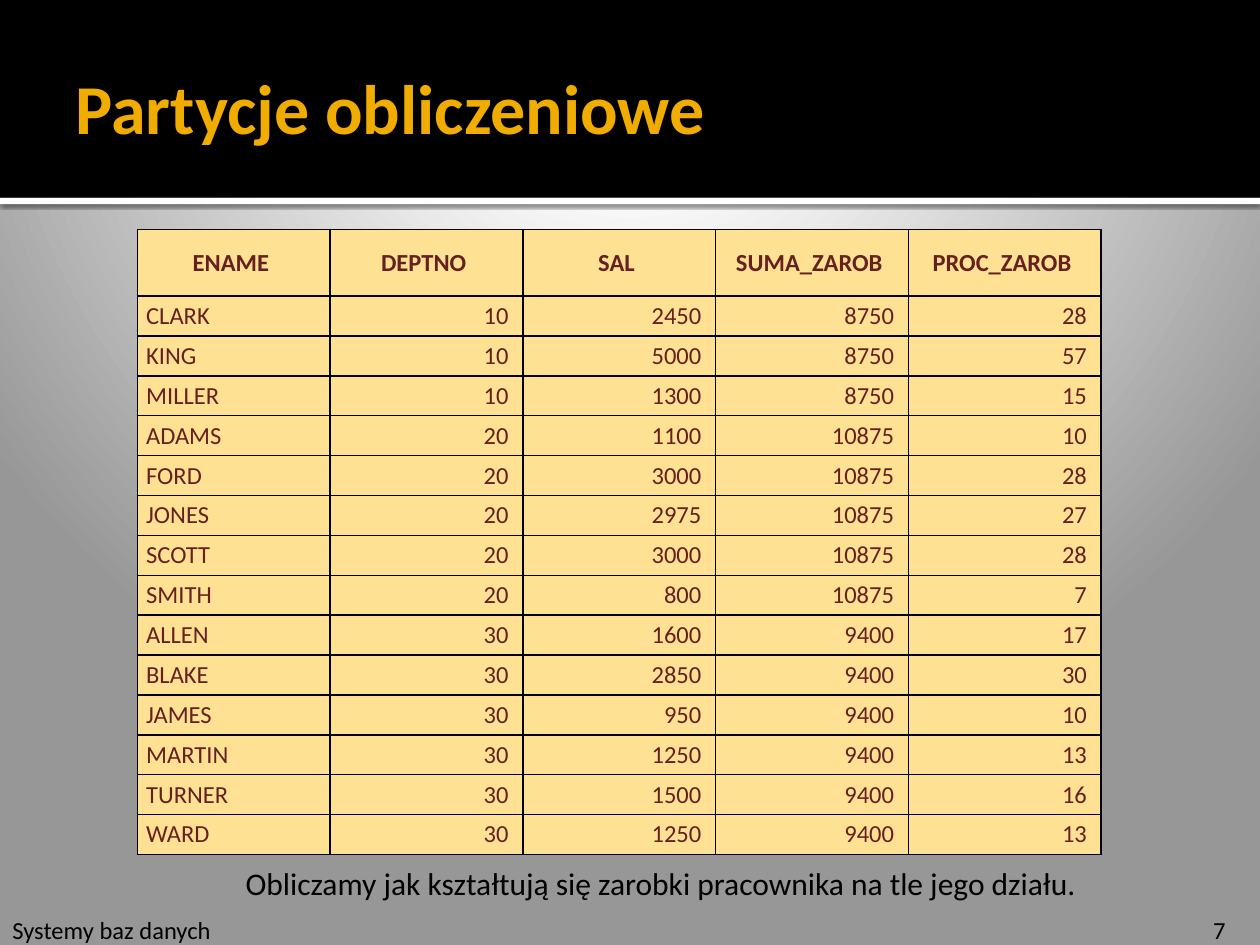
from dataclasses import dataclass

from lxml.etree import SubElement
from pptx import Presentation
from pptx.dml.color import RGBColor
from pptx.enum.shapes import MSO_SHAPE
from pptx.enum.text import MSO_ANCHOR, PP_ALIGN
from pptx.oxml import parse_xml
from pptx.oxml.ns import nsdecls, qn
from pptx.util import Inches, Pt

FONT = "Calibri"
BLACK, WHITE, GOLD = "000000", "FFFFFF", "F0AD00"
CELL_FILL, CELL_TEXT = "FFE193", "672020"
COL_WIDTH, HEADER_HEIGHT, ROW_HEIGHT = 1.53, 0.53, 0.31
BACKGROUND_STOPS = [(0, WHITE), (20, WHITE), (100, "979797")]

HEADERS = ["ENAME", "DEPTNO", "SAL", "SUMA_ZAROB", "PROC_ZAROB"]
EMPLOYEES = [
    ("CLARK", 10, 2450, 8750, 28),
    ("KING", 10, 5000, 8750, 57),
    ("MILLER", 10, 1300, 8750, 15),
    ("ADAMS", 20, 1100, 10875, 10),
    ("FORD", 20, 3000, 10875, 28),
    ("JONES", 20, 2975, 10875, 27),
    ("SCOTT", 20, 3000, 10875, 28),
    ("SMITH", 20, 800, 10875, 7),
    ("ALLEN", 30, 1600, 9400, 17),
    ("BLAKE", 30, 2850, 9400, 30),
    ("JAMES", 30, 950, 9400, 10),
    ("MARTIN", 30, 1250, 9400, 13),
    ("TURNER", 30, 1500, 9400, 16),
    ("WARD", 30, 1250, 9400, 13),
]


@dataclass
class Label:
    text: str
    left: float
    top: float
    width: float
    height: float
    size: int


LABELS = [
    Label("Systemy baz danych", 0, 7.21, 2.87, 0.34, 14),
    Label("7", 9.53, 7.21, 0.47, 0.34, 14),
    Label("Obliczamy jak kształtują się zarobki pracownika na tle jego działu.",
          1.85, 6.81, 6.91, 0.4, 18),
]


def rgb(color: str) -> RGBColor:
    return RGBColor.from_string(color)


def set_text(tf, text: str, size: int, color: str, bold: bool = False, align=None) -> None:
    tf.text = text
    p = tf.paragraphs[0]
    p.alignment = align
    font = p.runs[0].font
    font.name, font.size, font.bold = FONT, Pt(size), bold
    font.color.rgb = rgb(color)


def paint_background(slide) -> None:
    """Fill the background with a radial gradient centred above the top edge."""
    fill = slide.background.fill
    fill.gradient()
    stops = "".join(f'<a:gs pos="{pos * 1000}"><a:srgbClr val="{color}"/></a:gs>'
                    for pos, color in BACKGROUND_STOPS)
    gradient = parse_xml(
        f'<a:gradFill {nsdecls("a")} rotWithShape="1"><a:gsLst>{stops}</a:gsLst>'
        '<a:path path="circle"><a:fillToRect l="10000" t="-25000" r="10000" b="125000"/>'
        '</a:path></a:gradFill>')
    old = next(slide.element.iter(qn("a:gradFill")))
    old.getparent().replace(old, gradient)


def add_band(slide, top: float, height: float, color: str):
    sp = slide.shapes.add_shape(MSO_SHAPE.RECTANGLE, 0, Inches(top),
                                Inches(10), Inches(height))
    sp.shadow.inherit = False
    sp.fill.solid()
    sp.fill.fore_color.rgb = rgb(color)
    sp.line.fill.background()
    return sp


def add_drop_shadow(sp) -> None:
    effects = sp.element.spPr.find(qn("a:effectLst"))
    shadow = SubElement(effects, qn("a:outerShdw"), blurRad=str(Pt(2.5)),
                        dist=str(Pt(0.8)), dir="5400000", rotWithShape="0")
    color = SubElement(shadow, qn("a:srgbClr"), val=BLACK)
    SubElement(color, qn("a:alpha"), val="60000")


def add_label(slide, label: Label) -> None:
    box = slide.shapes.add_textbox(Inches(label.left), Inches(label.top),
                                   Inches(label.width), Inches(label.height))
    box.text_frame.word_wrap = True
    set_text(box.text_frame, label.text, label.size, BLACK)


def place_title(slide, text: str) -> None:
    title = slide.shapes.title
    title.left, title.top = Inches(0.5), Inches(0.46)
    title.width, title.height = Inches(9), Inches(0.77)
    tf = title.text_frame
    tf.vertical_anchor = MSO_ANCHOR.MIDDLE
    tf.margin_left = Inches(0.1)
    tf.margin_right = tf.margin_top = tf.margin_bottom = Inches(0.05)
    set_text(tf, text, 40, GOLD, bold=True, align=PP_ALIGN.LEFT)
    title.element.getparent().append(title.element)  # in front of the black band


def add_borders(cell) -> None:
    tc_pr = cell._tc.get_or_add_tcPr()
    for i, side in enumerate(("lnL", "lnR", "lnT", "lnB")):
        line = parse_xml(
            f'<a:{side} {nsdecls("a")} w="{Pt(1)}"><a:solidFill>'
            f'<a:srgbClr val="{BLACK}"/></a:solidFill></a:{side}>')
        tc_pr.insert(i, line)


def format_cell(cell, text: str, bold: bool, align) -> None:
    cell.margin_left = cell.margin_right = Inches(0.07)
    cell.margin_top = cell.margin_bottom = Inches(0.04)
    cell.vertical_anchor = MSO_ANCHOR.MIDDLE
    cell.fill.solid()
    cell.fill.fore_color.rgb = rgb(CELL_FILL)
    set_text(cell.text_frame, text, 14, CELL_TEXT, bold, align)
    add_borders(cell)


def add_salary_table(slide) -> None:
    rows = [HEADERS, *EMPLOYEES]
    height = HEADER_HEIGHT + ROW_HEIGHT * len(EMPLOYEES)
    table = slide.shapes.add_table(
        len(rows), len(HEADERS), Inches(1.09), Inches(1.82),
        Inches(COL_WIDTH * len(HEADERS)), Inches(height)).table
    for column in table.columns:
        column.width = Inches(COL_WIDTH)
    for r, values in enumerate(rows):
        table.rows[r].height = Inches(ROW_HEIGHT if r else HEADER_HEIGHT)
        for c, value in enumerate(values):
            if r == 0:
                text, align = f"{value} ", PP_ALIGN.CENTER
            elif c == 0:
                text, align = value, PP_ALIGN.LEFT
            else:
                text, align = f"{value} ", PP_ALIGN.RIGHT
            format_cell(table.cell(r, c), text, r == 0, align)


def main() -> None:
    prs = Presentation()
    prs.slide_width, prs.slide_height = Inches(10), Inches(7.5)
    slide = prs.slides.add_slide(prs.slide_layouts[5])
    paint_background(slide)
    add_drop_shadow(add_band(slide, 1.57, 0.05, WHITE))
    add_band(slide, 0, 1.57, BLACK)
    place_title(slide, "Partycje obliczeniowe")
    add_salary_table(slide)
    for label in LABELS:
        add_label(slide, label)
    prs.save("out.pptx")


if __name__ == "__main__":
    main()
